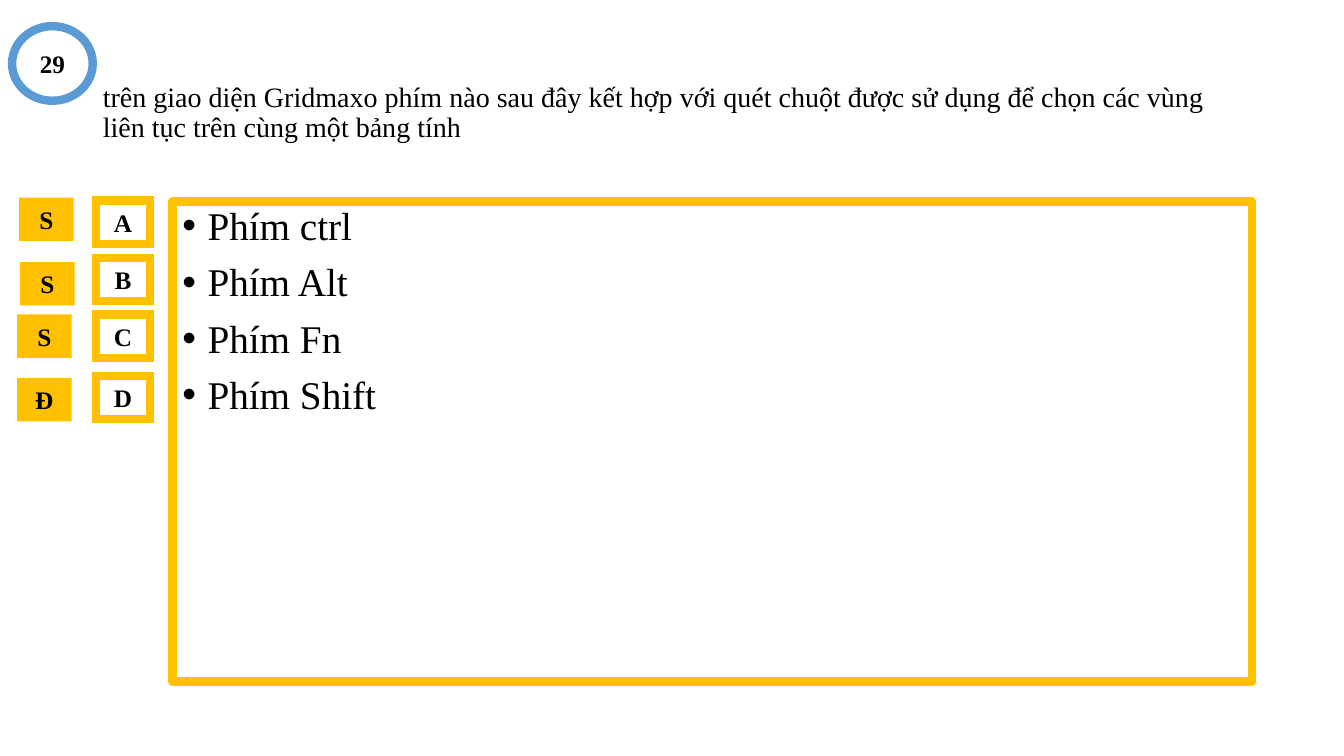
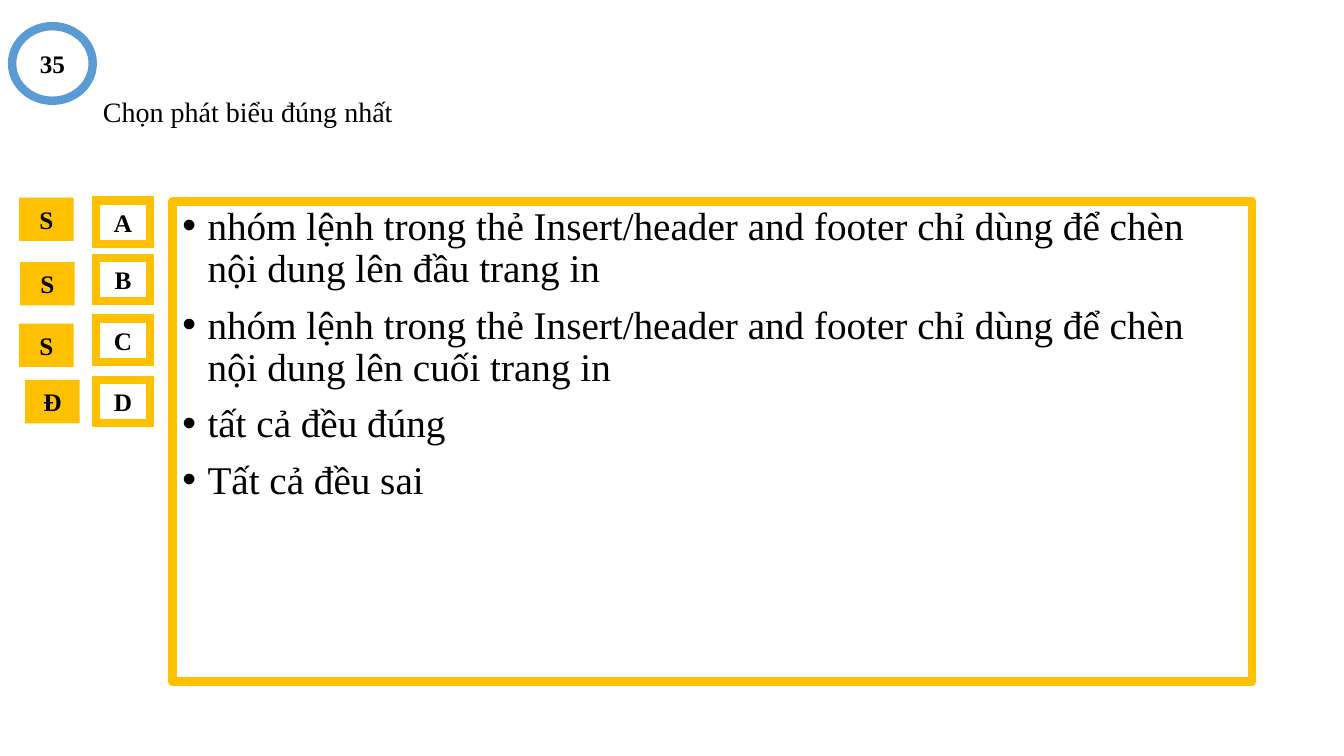
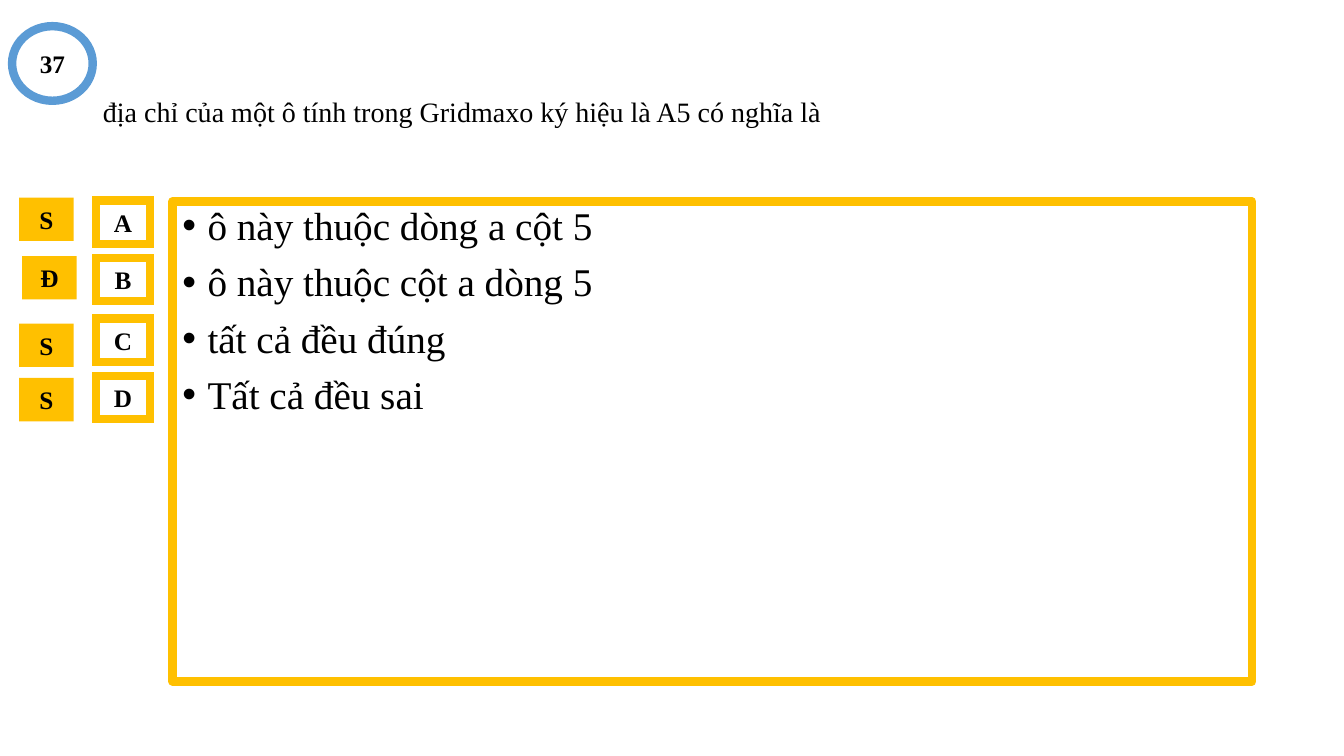
from lxml import etree
from pptx import Presentation
from pptx.dml.color import RGBColor
from pptx.enum.shapes import MSO_SHAPE
from pptx.enum.text import MSO_ANCHOR, MSO_AUTO_SIZE, PP_ALIGN
from pptx.oxml.ns import qn
from pptx.util import Emu, Pt

PX = 9144
FONT = "Times New Roman"
WHITE, BLACK, GOLD, BLUE = "FFFFFF", "000000", "FFC000", "5B9BD5"
TITLE_ONLY = 5
TILE_WIDTH, TILE_HEIGHT = 54, 43
LETTER_LEFT = 95

QUESTIONS = [
    {
        "number": "29",
        "question": "trên giao diện Gridmaxo phím nào sau đây kết hợp với quét chuột "
                    "được sử dụng để chọn các vùng liên tục trên cùng một bảng tính",
        "answers": ["Phím ctrl", "Phím Alt", "Phím Fn", "Phím Shift"],
        "letter_tops": [199, 256, 312, 373],
        "verdicts": [("S", 19, 196), ("S", 20, 260), ("S", 17, 312), ("Đ", 17, 375)],
    },
    {
        "number": "35",
        "question": "Chọn phát biểu đúng nhất",
        "answers": [
            "nhóm lệnh trong thẻ Insert/header and footer chỉ dùng để chèn "
            "nội dung lên đầu trang in",
            "nhóm lệnh trong thẻ Insert/header and footer chỉ dùng để chèn "
            "nội dung lên cuối trang in",
            "tất cả đều đúng",
            "Tất cả đều sai",
        ],
        "letter_tops": [199, 256, 316, 377],
        "verdicts": [("S", 19, 196), ("S", 20, 260), ("S", 19, 321), ("Đ", 25, 377)],
    },
    {
        "number": "37",
        "question": "địa chỉ của một ô tính trong Gridmaxo ký hiệu là A5 có nghĩa là",
        "answers": ["ô này thuộc dòng a cột 5", "ô này thuộc cột a dòng 5",
                    "tất cả đều đúng", "Tất cả đều sai"],
        "letter_tops": [199, 256, 316, 373],
        "verdicts": [("S", 19, 196), ("Đ", 22, 254), ("S", 19, 321), ("S", 19, 375)],
    },
]


def px(length):
    return Emu(length * PX)


def color(hex_string):
    return RGBColor.from_string(hex_string)


def paint(shape, fill, opacity=100, line=None):
    shape.fill.solid()
    shape.fill.fore_color.rgb = color(fill)
    if opacity < 100:
        fill_color = shape.fill._xPr.find(qn("a:solidFill"))[0]
        etree.SubElement(fill_color, qn("a:alpha"), val=str(opacity * 1000))
    if line:
        shape.line.color.rgb = color(line)
        shape.line.width = Pt(6)
    else:
        shape.line.fill.background()


def style_font(paragraph, size, bold=False):
    for run in paragraph.runs:
        run.font.name = FONT
        run.font.size = Pt(size)
        run.font.bold = bold
        run.font.color.rgb = color(BLACK)


def add_question(slide, question):
    title = slide.shapes.title
    title.left, title.top, title.width, title.height = map(px, (92, 40, 1150, 145))
    paint(title, WHITE, 79)
    frame = title.text_frame
    frame.text = question
    frame.word_wrap = True
    frame.auto_size = MSO_AUTO_SIZE.NONE
    frame.vertical_anchor = MSO_ANCHOR.MIDDLE
    paragraph = frame.paragraphs[0]
    paragraph.alignment = PP_ALIGN.LEFT
    paragraph.line_spacing = 0.9
    style_font(paragraph, 20)


def add_answers(slide, answers):
    panel = slide.shapes.add_textbox(*map(px, (171, 200, 1071, 476)))
    paint(panel, WHITE, 79, GOLD)
    etree.SubElement(panel.line._get_or_add_ln(), qn("a:round"))
    frame = panel.text_frame
    frame.word_wrap = True
    frame.text = "\n".join(answers)
    for index, paragraph in enumerate(frame.paragraphs):
        paragraph.line_spacing = 0.9
        paragraph.space_before = Pt(10 if index else 0)
        properties = paragraph._p.get_or_add_pPr()
        properties.set("marL", str(px(25)))
        properties.set("indent", str(px(-25)))
        etree.SubElement(properties, qn("a:buFont"), typeface="Arial")
        etree.SubElement(properties, qn("a:buChar"), char="•")
        style_font(paragraph, 28)


def add_label(slide, preset, box, text, fill, opacity=100, line=None):
    label = slide.shapes.add_shape(preset, *map(px, box))
    label.shadow.inherit = False
    paint(label, fill, opacity, line)
    if line:
        etree.SubElement(label.line._get_or_add_ln(), qn("a:miter"), lim="800000")
    frame = label.text_frame
    frame.text = text
    frame.vertical_anchor = MSO_ANCHOR.MIDDLE
    frame.paragraphs[0].alignment = PP_ALIGN.CENTER
    style_font(frame.paragraphs[0], 18, bold=True)


def add_tile(slide, left, top, text, **look):
    box = (left, top, TILE_WIDTH, TILE_HEIGHT)
    add_label(slide, MSO_SHAPE.RECTANGLE, box, text, **look)


def add_quiz_slide(deck, quiz):
    slide = deck.slides.add_slide(deck.slide_layouts[TITLE_ONLY])
    add_question(slide, quiz["question"])
    add_answers(slide, quiz["answers"])
    add_label(slide, MSO_SHAPE.OVAL, (12, 26, 80, 74), quiz["number"], WHITE, line=BLUE)
    for letter, top in zip("ABCD", quiz["letter_tops"]):
        add_tile(slide, LETTER_LEFT, top, letter, fill=WHITE, opacity=85, line=GOLD)
    for verdict, left, top in quiz["verdicts"]:
        add_tile(slide, left, top, verdict, fill=GOLD)


def main():
    deck = Presentation()
    deck.slide_width, deck.slide_height = px(1333), px(750)
    for quiz in QUESTIONS:
        add_quiz_slide(deck, quiz)
    deck.save("out.pptx")


if __name__ == "__main__":
    main()
